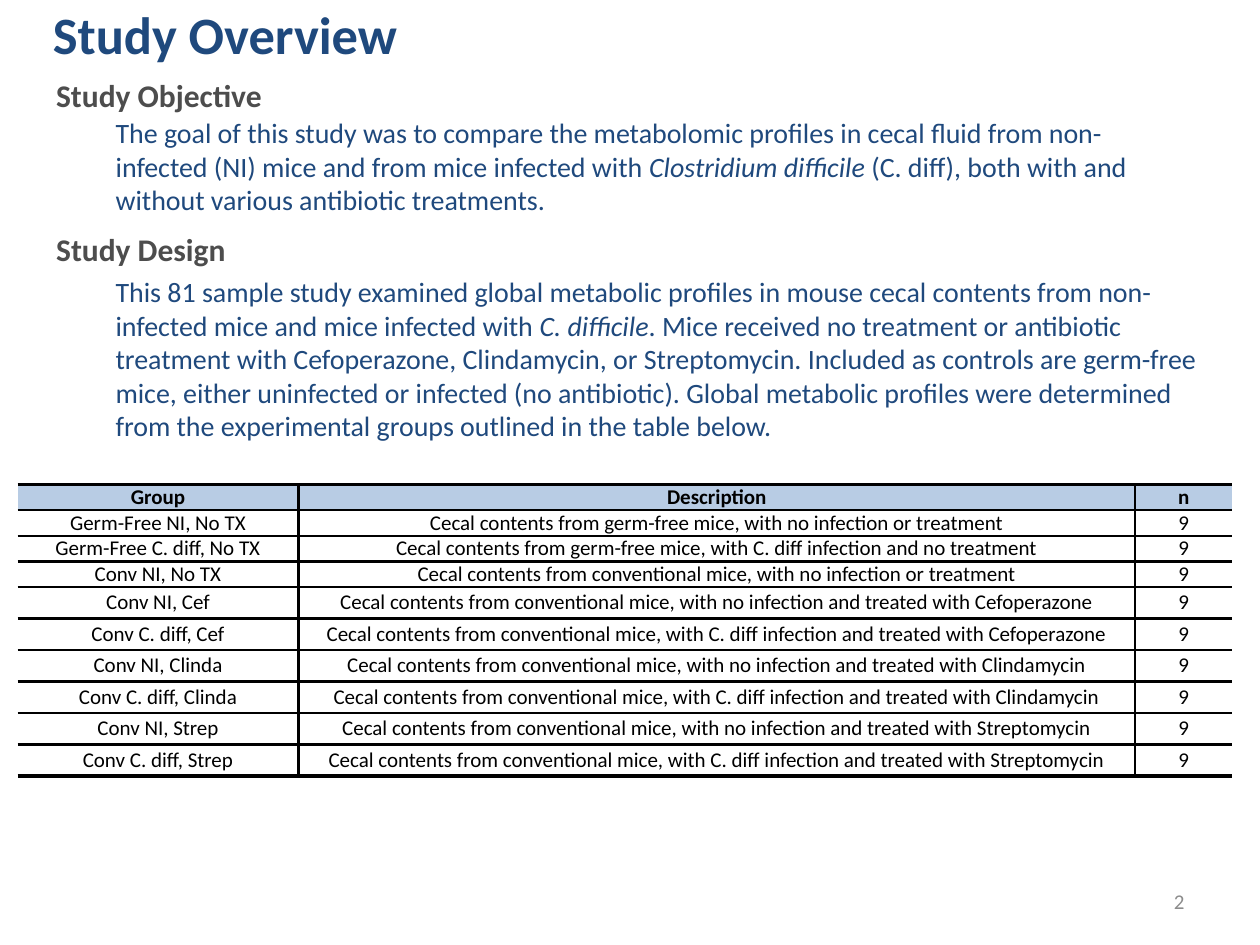
from dataclasses import dataclass

from lxml.etree import SubElement
from pptx import Presentation
from pptx.dml.color import RGBColor
from pptx.enum.text import MSO_ANCHOR as Anchor, MSO_AUTO_SIZE as AutoSize, PP_ALIGN as Align
from pptx.oxml.ns import qn
from pptx.util import Pt


@dataclass(frozen=True)
class Theme:
    font: str = "Calibri"
    navy: str = "1F497D"
    heading_gray: str = "4D4D4D"
    number_gray: str = "8C8C8C"
    black: str = "000000"
    header_blue: str = "B8CCE4"
    title_size: float = 30
    heading_size: float = 18
    body_size: float = 16
    small_size: float = 12
    thin: float = 1.5
    thick: float = 2.25


THEME = Theme()

OBJECTIVE = [
    ("The goal of this study was to compare the metabolomic profiles in cecal fluid "
     "from non-infected (NI) mice and from mice infected with ", False),
    ("Clostridium difficile ", True),
    ("(C. diff), both with and without various antibiotic treatments.", False),
]
DESIGN = [
    ("This 81 sample study examined global metabolic profiles in mouse cecal contents "
     "from non-infected mice and mice infected with ", False),
    ("C. difficile", True),
    (". Mice received no treatment or antibiotic treatment with Cefoperazone, Clindamycin, "
     "or Streptomycin. Included as controls are germ-free mice, either uninfected or infected "
     "(no antibiotic). Global metabolic profiles were determined from the experimental groups "
     "outlined in the table below.", False),
]
TREATMENTS = [("Cef", "Cefoperazone"), ("Clinda", "Clindamycin"), ("Strep", "Streptomycin")]
INFECTIONS = [("NI", "no infection"), ("C. diff", "C. diff infection")]
COLUMN_WIDTHS = [160.6, 478.1, 55.4]
SHORT_ROW, TALL_ROW = 14.6, 18
SHORT_ROW_COUNT = 4


def write_text(frame, content, size, color, bold=False, align=Align.LEFT,
               anchor=Anchor.TOP, wrap=True):
    frame.word_wrap = wrap
    frame.vertical_anchor = anchor
    paragraph = frame.paragraphs[0]
    paragraph.alignment = align
    pieces = [(content, False)] if isinstance(content, str) else content
    for words, italic in pieces:
        run = paragraph.add_run()
        run.text = words
        run.font.name = THEME.font
        run.font.size = Pt(size)
        run.font.bold = bold
        run.font.italic = italic
        run.font.color.rgb = RGBColor.from_string(color)


def add_title(slide, content):
    title = slide.shapes.title
    title.left, title.top, title.width, title.height = Pt(23), Pt(0), Pt(648), Pt(38)
    title.text_frame.auto_size = AutoSize.NONE
    write_text(title.text_frame, content, THEME.title_size, THEME.navy,
               bold=True, anchor=Anchor.MIDDLE)


def add_text(slide, content, left, top, width, height, size, color, **text_format):
    box = slide.shapes.add_textbox(Pt(left), Pt(top), Pt(width), Pt(height))
    write_text(box.text_frame, content, size, color, **text_format)


def add_section(slide, heading, heading_top, heading_width, body, body_top, body_width, body_height):
    add_text(slide, heading, 25, heading_top, heading_width, 29,
             THEME.heading_size, THEME.heading_gray, bold=True, wrap=False)
    add_text(slide, body, 59, body_top, body_width, body_height, THEME.body_size, THEME.navy)


def set_border(cell, side, width):
    properties = cell._tc.get_or_add_tcPr()
    line = SubElement(properties, qn(f"a:ln{side}"), w=str(Pt(width)))
    if width:
        color = SubElement(SubElement(line, qn("a:solidFill")), qn("a:srgbClr"))
        color.set("val", THEME.black)
    else:
        SubElement(line, qn("a:noFill"))


def group_rows():
    rows = [
        ("Germ-Free NI, No TX", "Cecal contents from germ-free mice, with no infection or treatment"),
        ("Germ-Free C. diff, No TX",
         "Cecal contents from germ-free mice, with C. diff infection and no treatment"),
        ("Conv NI, No TX",
         "Cecal contents from conventional mice, with no infection or treatment"),
    ]
    for short, drug in TREATMENTS:
        for status, infection in INFECTIONS:
            rows.append((f"Conv {status}, {short}",
                         f"Cecal contents from conventional mice, with {infection} "
                         f"and treated with {drug}"))
    return [("Group", "Description", "n")] + [(*row, "9") for row in rows]


def add_group_table(slide):
    rows = group_rows()
    heights = [SHORT_ROW if i < SHORT_ROW_COUNT else TALL_ROW for i in range(len(rows))]
    table = slide.shapes.add_table(len(rows), len(COLUMN_WIDTHS), Pt(10), Pt(277),
                                   Pt(sum(COLUMN_WIDTHS)), Pt(sum(heights))).table
    table.first_row = table.horz_banding = False
    for column, width in zip(table.columns, COLUMN_WIDTHS):
        column.width = Pt(width)
    vertical_rules = [0, THEME.thick, THEME.thin, 0]
    horizontal_rules = [THEME.thick] + [THEME.thin] * (len(rows) - 1) + [THEME.thick]
    for r, row in enumerate(rows):
        table.rows[r].height = Pt(heights[r])
        for c, content in enumerate(row):
            cell = table.cell(r, c)
            cell.margin_left = cell.margin_right = Pt(5)
            cell.margin_top = cell.margin_bottom = Pt(0)
            cell.vertical_anchor = Anchor.MIDDLE
            set_border(cell, "L", vertical_rules[c])
            set_border(cell, "R", vertical_rules[c + 1])
            set_border(cell, "T", horizontal_rules[r])
            set_border(cell, "B", horizontal_rules[r + 1])
            if r == 0:
                cell.fill.solid()
                cell.fill.fore_color.rgb = RGBColor.from_string(THEME.header_blue)
            else:
                cell.fill.background()
            write_text(cell.text_frame, content, THEME.small_size, THEME.black, bold=r == 0,
                       align=Align.CENTER, anchor=Anchor.MIDDLE)


def main():
    deck = Presentation()
    deck.slide_width, deck.slide_height = Pt(720), Pt(540)
    slide = deck.slides.add_slide(deck.slide_layouts.get_by_name("Title Only"))
    add_title(slide, "Study Overview")
    add_section(slide, "Study Objective", 39.6, 133, OBJECTIVE, 62.6, 630, 65.5)
    add_section(slide, "Study Design", 128, 112, DESIGN, 153.4, 651, 124)
    add_group_table(slide)
    add_text(slide, "2", 516, 500.5, 168, 29, THEME.small_size, THEME.number_gray,
             align=Align.RIGHT, anchor=Anchor.MIDDLE)
    deck.save("out.pptx")


if __name__ == "__main__":
    main()
